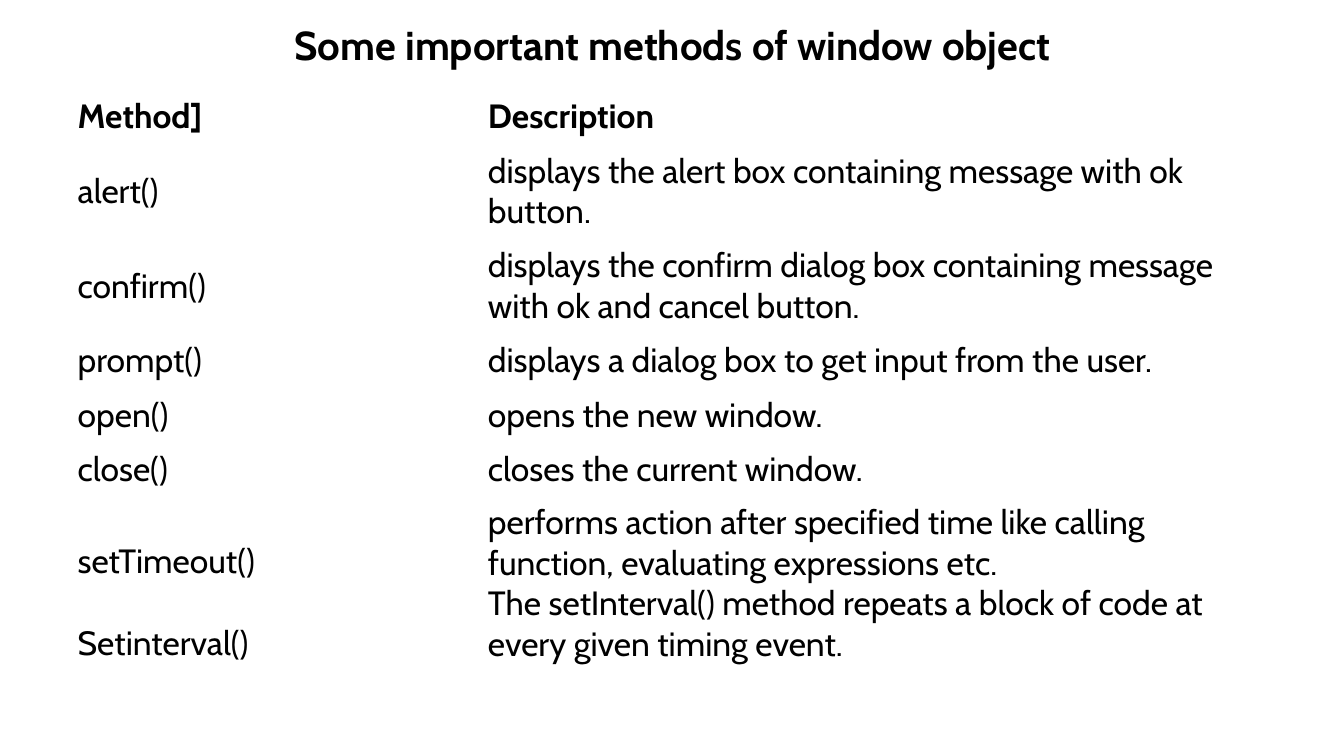
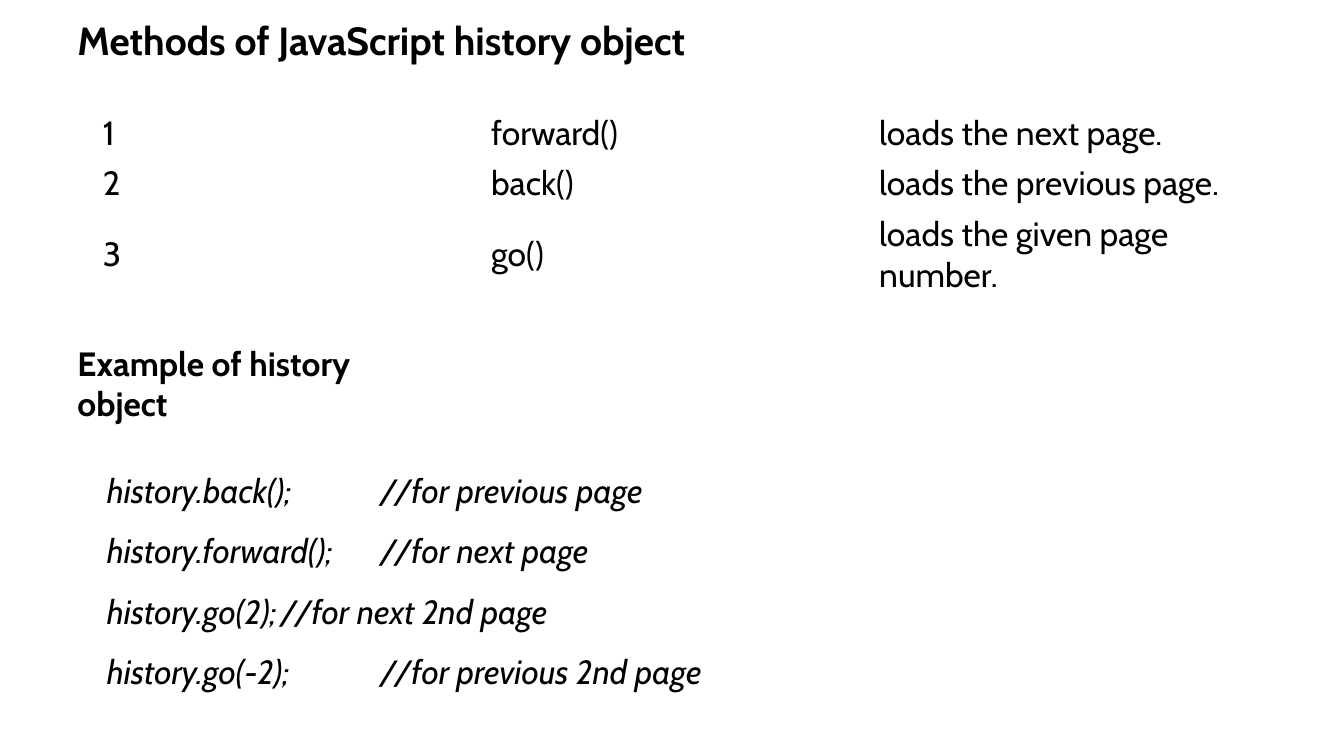
from dataclasses import dataclass

from lxml.etree import SubElement
from pptx import Presentation
from pptx.dml.color import RGBColor
from pptx.enum.text import MSO_ANCHOR, PP_ALIGN
from pptx.oxml.ns import qn
from pptx.util import Inches, Pt


@dataclass(frozen=True)
class Theme:
    font: str = "Cabin"
    ink: RGBColor = RGBColor(0, 0, 0)
    paper: RGBColor = RGBColor(255, 255, 255)
    title: float = 28.8
    subtitle: float = 28
    body: float = 24


THEME = Theme()

# Content: window object
WINDOW_TITLE = "Some important methods of window object"
WINDOW_METHODS = [
    ("Method]", "Description"),
    ("alert()", "displays the alert box containing message with ok button."),
    ("confirm()", "displays the confirm dialog box containing message with ok and cancel button."),
    ("prompt()", "displays a dialog box to get input from the user."),
    ("open()", "opens the new window."),
    ("close()", "closes the current window."),
    ("setTimeout()\nSetinterval()",
     "performs action after specified time like calling function, evaluating expressions etc.\n"
     "The setInterval() method repeats a block of code at every given timing event."),
]
ONE_LINE, TWO_LINES, TIMERS = 0.54, 0.94, 2.1
WINDOW_ROWS = [ONE_LINE, TWO_LINES, TWO_LINES, ONE_LINE, ONE_LINE, ONE_LINE, TIMERS]

# Content: history object
HISTORY_TITLE = "Methods of JavaScript history object"
HISTORY_METHODS = [
    ("1", "forward()", "loads the next page."),
    ("2", "back()", "loads the previous page."),
    ("3", "go()", "loads the given page number."),
]
HISTORY_ROWS = [0.5, 0.5, 0.9]
EXAMPLE_HEADING = "Example of history object"
# Code, comment, tab stop of the comment
EXAMPLE_CALLS = [
    ("history.back();", "//for previous page", 2.71),
    ("history.forward();", "//for next page", 2.71),
    ("history.go(2);", "//for next 2nd page", 1.72),
    ("history.go(-2);", "//for previous 2nd page", 2.71),
]


def style(frame, size=THEME.body, bold=False, italic=False):
    for paragraph in frame.paragraphs:
        for run in paragraph.runs:
            font = run.font
            font.name, font.size = THEME.font, Pt(size)
            font.bold, font.italic = bold, italic
            font.color.rgb = THEME.ink


def add_text(slide, box, text, **look):
    frame = slide.shapes.add_textbox(*map(Inches, box)).text_frame
    frame.word_wrap = True
    frame.text = text
    style(frame, **look)
    return frame


def add_title(slide, box, text, size, align):
    frame = add_text(slide, box, text, size=size, bold=True)
    frame.vertical_anchor = MSO_ANCHOR.MIDDLE
    frame.margin_top = frame.margin_bottom = 0
    frame.paragraphs[0].alignment = align
    frame.paragraphs[0].line_spacing = 0.9


def add_methods(slide, left, top, widths, heights, rows, header=False):
    table = slide.shapes.add_table(
        len(rows), len(widths), Inches(left), Inches(top),
        Inches(sum(widths)), Inches(sum(heights))).table
    table.first_row = table.horz_banding = False
    for column, width in zip(table.columns, widths):
        column.width = Inches(width)
    for r, (texts, height) in enumerate(zip(rows, heights)):
        table.rows[r].height = Inches(height)
        for c, text in enumerate(texts):
            cell = table.cell(r, c)
            cell.fill.background()
            cell.vertical_anchor = MSO_ANCHOR.MIDDLE
            cell.text_frame.text = text
            style(cell.text_frame, bold=header and r == 0)
    return table


def new_slide(deck):
    slide = deck.slides.add_slide(deck.slide_layouts[6])
    slide.background.fill.solid()
    slide.background.fill.fore_color.rgb = THEME.paper
    return slide


def build_window(slide):
    add_title(slide, (0.92, 0.27, 11.5, 0.41), WINDOW_TITLE, THEME.title, PP_ALIGN.CENTER)
    table = add_methods(slide, 0.67, 0.89, [4.07, 7.92], WINDOW_ROWS, WINDOW_METHODS, header=True)
    # The two timers share a row, names one line apart
    names, descriptions = table.rows[len(WINDOW_METHODS) - 1].cells
    names.text_frame.paragraphs[1].space_before = Pt(29)
    descriptions.vertical_anchor = MSO_ANCHOR.TOP


def build_history(slide):
    add_title(slide, (0.67, 0.19, 7.18, 0.46), HISTORY_TITLE, THEME.subtitle, PP_ALIGN.LEFT)
    add_methods(slide, 0.92, 1.07, [3.85] * 3, HISTORY_ROWS, HISTORY_METHODS)
    add_text(slide, (0.67, 3.35, 3.75, 0.5), EXAMPLE_HEADING, bold=True)

    # Example code with comments on tab stops
    lines = "\n".join(f"{code}\t{comment}" for code, comment, _ in EXAMPLE_CALLS)
    example = add_text(slide, (0.67, 4.41, 7.05, 2.52), lines, italic=True)
    example.margin_left = Inches(0.39)
    for paragraph, (_, _, stop) in zip(example.paragraphs, EXAMPLE_CALLS):
        paragraph.line_spacing = 1.5
        tabs = SubElement(paragraph._p.get_or_add_pPr(), qn("a:tabLst"))
        SubElement(tabs, qn("a:tab"), pos=str(Inches(stop)), algn="l")


def main():
    deck = Presentation()
    deck.slide_width, deck.slide_height = Inches(13.33), Inches(7.5)
    for build in (build_window, build_history):
        build(new_slide(deck))
    deck.save("out.pptx")


if __name__ == "__main__":
    main()
